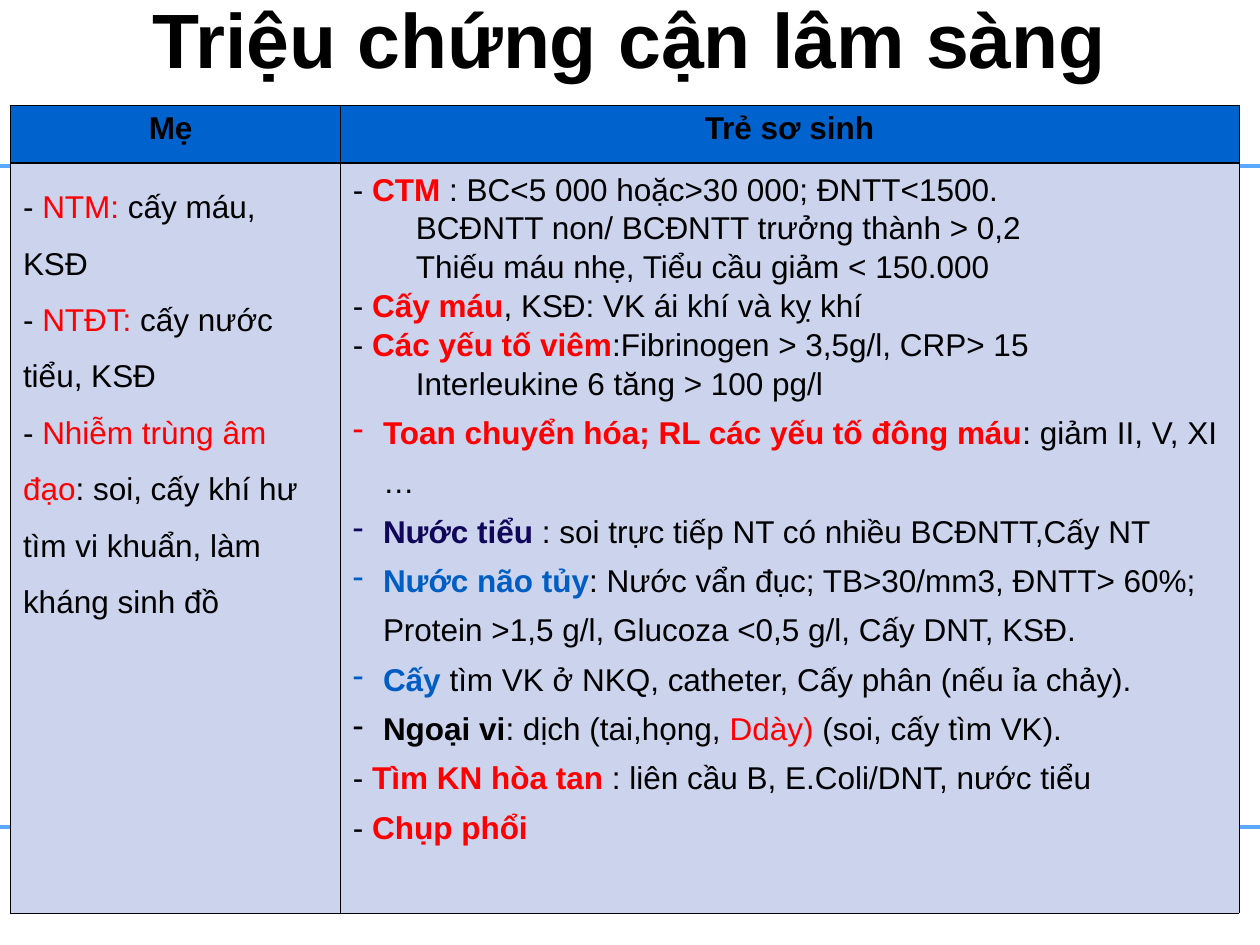
import pptx
import pptx.dml.color
import pptx.enum.shapes
import pptx.enum.text
import pptx.oxml.ns
import pptx.util
from lxml import etree

PX = 914400 // 126
BLACK, RED, NAVY, BLUE = "000000", "FF0000", "10065A", "005DC4"
HEADER_FILL, BODY_FILL, RULE = "0063CD", "CBD3ED", "5BA9FF"
HEADERS = ["Mẹ ", "Trẻ sơ sinh"]
DASH = ("- ",)
MOTHER = [
    (1.6, None, [DASH, ("NTM: ", RED), ("cấy máu, KSĐ",)]),
    (1.6, None, [DASH, ("NTĐT: ", RED), ("cấy nước tiểu, KSĐ",)]),
    (1.6, None, [DASH, ("Nhiễm trùng âm đạo", RED),
                 (": soi, cấy khí hư tìm vi khuẩn, làm kháng sinh đồ",)]),
]
NEWBORN = [
    (1.1, None, [DASH, ("CTM ", RED, True), (": BC<5 000 hoặc>30 000; ĐNTT<1500.",)]),
    (1.1, None, [("\tBCĐNTT non/ BCĐNTT trưởng thành > 0,2",)]),
    (1.1, None, [("\tThiếu máu nhẹ, Tiểu cầu giảm < 150.000",)]),
    (1.1, None, [DASH, ("Cấy máu", RED, True), (", KSĐ: VK ái khí và kỵ khí",)]),
    (1.1, None, [DASH, ("Các yếu tố viêm", RED, True), (":Fibrinogen > 3,5g/l, CRP> 15",)]),
    (1.1, None, [("\tInterleukine 6 tăng > 100 pg/l",)]),
    (1.4, RED, [("Toan chuyển hóa; RL các yếu tố đông máu", RED, True),
                (": giảm II, V, XI …",)]),
    (1.4, NAVY, [("Nước tiểu ", NAVY, True), (": soi trực tiếp NT có nhiều BCĐNTT,Cấy NT",)]),
    (1.4, BLUE, [("Nước não tủy", BLUE, True),
                 (": Nước vẩn đục; TB>30/mm3, ĐNTT> 60%; Protein >1,5 g/l, "
                  "Glucoza <0,5 g/l, Cấy DNT, KSĐ.",)]),
    (1.4, BLUE, [("Cấy ", BLUE, True), ("tìm VK ở NKQ, catheter, Cấy phân (nếu ỉa chảy).",)]),
    (1.4, BLACK, [("Ngoại vi", BLACK, True), (": dịch (tai,họng,",), (" Ddày)", RED),
                  (" (soi, cấy tìm VK).",)]),
    (1.4, None, [DASH, ("Tìm KN hòa tan ", RED, True), (": liên cầu B, E.Coli/DNT, nước tiểu",)]),
    (1.4, None, [DASH, ("Chụp phổi", RED, True)]),
]


def px(n):
    """Turn whole pixels into EMU."""
    return pptx.util.Emu(n * PX)


def rgb(value):
    """Turn a hex string into a colour."""
    return pptx.dml.color.RGBColor.from_string(value)


def sub(parent, tag, **attrs):
    """Append a drawing element with attributes."""
    return etree.SubElement(parent, pptx.oxml.ns.qn(tag), attrs)


def set_all(target, values):
    """Set attributes from a dict of format values."""
    for name, value in values.items():
        setattr(target, name, value)


def add_run(p, text, color=BLACK, bold=False, size=18):
    """Add one formatted run to a paragraph."""
    r = p.add_run()
    r.text = text
    set_all(r.font, {"name": "Arial", "size": pptx.util.Pt(size), "bold": bold})
    r.font.color.rgb = rgb(color)


def add_bullet(p, color):
    """Give a paragraph a coloured dash bullet with a hanging indent."""
    pPr = p._p.get_or_add_pPr()
    pPr.set("marL", str(px(30)))
    pPr.set("indent", str(px(-30)))
    sub(sub(pPr, "a:buClr"), "a:srgbClr", val=color)
    sub(pPr, "a:buFontTx")
    sub(pPr, "a:buChar", char="-")


def fill_text(tf, paragraphs):
    """Write paragraphs of spacing, bullet colour and runs."""
    for i, (spacing, bullet, runs) in enumerate(paragraphs):
        p = tf.add_paragraph() if i else tf.paragraphs[0]
        p.line_spacing = spacing
        if bullet:
            add_bullet(p, bullet)
        for run in runs:
            add_run(p, *run)


def add_heading(tf, text, size):
    """Write one centred bold line."""
    p = tf.paragraphs[0]
    p.alignment = pptx.enum.text.PP_ALIGN.CENTER
    add_run(p, text, BLACK, True, size)


def style_cell(cell, fill, borders):
    """Set margins, fill and the four borders of a cell."""
    set_all(cell, {"margin_left": px(13), "margin_right": px(13),
                   "margin_top": px(6), "margin_bottom": px(6)})
    cell.fill.solid()
    cell.fill.fore_color.rgb = rgb(fill)
    tcPr = cell._tc.get_or_add_tcPr()
    for i, (side, width) in enumerate(borders.items()):
        ln = sub(tcPr, f"a:ln{side}", w=str(pptx.util.Pt(width)))
        sub(sub(ln, "a:solidFill"), "a:srgbClr", val=BLACK)
        tcPr.insert(i, ln)


def add_rule(s, y):
    """Draw a horizontal rule across the slide."""
    line = s.shapes.add_connector(pptx.enum.shapes.MSO_CONNECTOR.STRAIGHT,
                                  px(-1), px(y), px(1260), px(y))
    line.line.color.rgb = rgb(RULE)
    line.line.width = pptx.util.Pt(2.5)
    sub(line._element.spPr, "a:effectLst")


def add_findings(s):
    """Add the table of findings for mother and newborn."""
    table = s.shapes.add_table(2, 2, px(10), px(105), px(1229), px(808)).table
    for column, width in zip(table.columns, (330, 899)):
        column.width = px(width)
    for row, height in zip(table.rows, (58, 750)):
        row.height = px(height)
    for i, (header, body) in enumerate(zip(HEADERS, (MOTHER, NEWBORN))):
        top, bottom = table.cell(0, i), table.cell(1, i)
        style_cell(top, HEADER_FILL, {"L": 0.45, "R": 0.45, "T": 0.45, "B": 1.47})
        style_cell(bottom, BODY_FILL, {"L": 0.45, "R": 0.45, "T": 1.47, "B": 0.45})
        add_heading(top.text_frame, header, 18)
        fill_text(bottom.text_frame, body)


def add_title(s, text):
    """Add the slide title."""
    sp = s.shapes.add_textbox(px(63), px(-21), px(1134), px(302))
    tf = sp.text_frame
    set_all(tf, {"word_wrap": True, "margin_top": px(13),
                 "vertical_anchor": pptx.enum.text.MSO_ANCHOR.TOP})
    add_heading(tf, text, 44)


def main():
    """Build and save the slide."""
    prs = pptx.Presentation()
    set_all(prs, {"slide_width": px(1260), "slide_height": px(945)})
    s = prs.slides.add_slide(prs.slide_layouts[6])
    for y in (166, 827):
        add_rule(s, y)
    add_findings(s)
    add_title(s, "Triệu chứng cận lâm sàng")
    prs.save("out.pptx")


if __name__ == "__main__":
    main()
